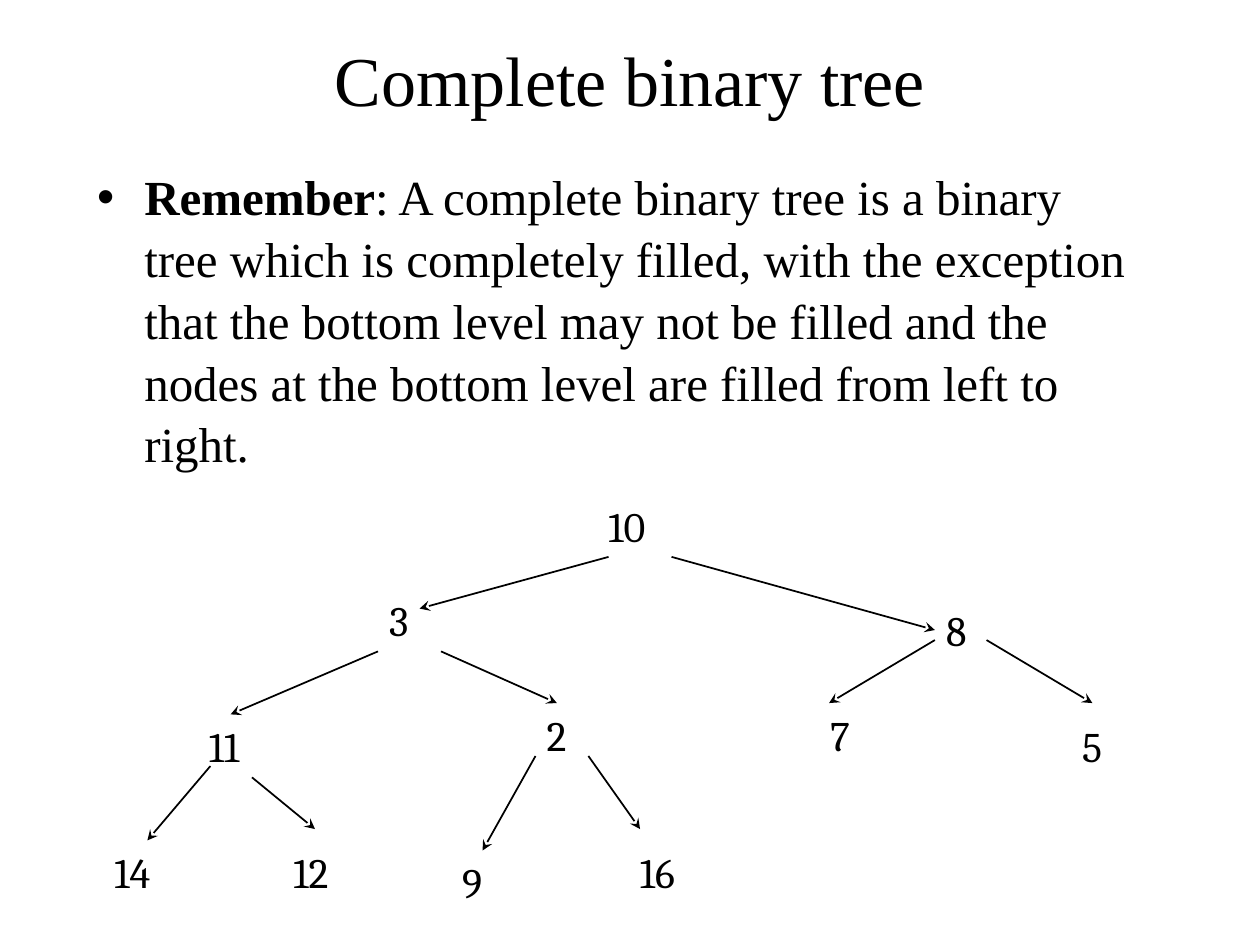
from dataclasses import dataclass

from pptx import Presentation
from pptx.dml.color import RGBColor
from pptx.enum.shapes import MSO_CONNECTOR as Conn
from pptx.enum.text import MSO_ANCHOR as Anchor, MSO_AUTO_SIZE as Fit, PP_ALIGN as Align
from pptx.oxml.ns import qn
from pptx.slide import Slide
from pptx.text.text import Font
from pptx.util import Inches, Pt
from lxml.etree import SubElement

COLORS = {"ink": "000000"}
SERIF = "Times New Roman"


@dataclass
class Node:
    label: str
    left: float
    top: float


@dataclass
class Edge:
    x1: float
    y1: float
    x2: float
    y2: float


NODES = [
    Node("10", 4.73, 3.92),
    Node("3", 2.99, 4.67), Node("8", 7.41, 4.75),
    Node("11", 1.56, 5.67), Node("2", 4.24, 5.58),
    Node("7", 6.49, 5.58), Node("5", 8.49, 5.67),
    Node("14", 0.81, 6.67), Node("12", 2.23, 6.67),
    Node("9", 3.57, 6.75), Node("16", 4.98, 6.67),
]
EDGES = [
    Edge(4.83, 4.42, 3.33, 4.83), Edge(5.33, 4.42, 7.42, 5),
    Edge(3, 5.17, 1.83, 5.67), Edge(3.5, 5.17, 4.42, 5.58),
    Edge(7.42, 5.08, 6.58, 5.58), Edge(7.83, 5.08, 8.67, 5.58),
    Edge(1.67, 6.08, 1.17, 6.67), Edge(2, 6.17, 2.5, 6.58),
    Edge(4.25, 6, 3.83, 6.75), Edge(4.67, 6, 5.08, 6.58),
]


def set_font(font: Font, name: str, size: float) -> None:
    font.name = name
    font.size = Pt(size)
    font.color.rgb = RGBColor.from_string(COLORS["ink"])


def place(shape, left: float, top: float, width: float, height: float) -> None:
    shape.left, shape.top = Inches(left), Inches(top)
    shape.width, shape.height = Inches(width), Inches(height)


def add_title(slide: Slide) -> None:
    title = slide.shapes.title
    place(title, 0.75, 0.25, 8.5, 0.75)
    frame = title.text_frame
    frame.text = "Complete binary tree"
    frame.auto_size = Fit.NONE
    frame.vertical_anchor = Anchor.MIDDLE
    para = frame.paragraphs[0]
    para.alignment = Align.CENTER
    set_font(para.font, SERIF, 40)


def add_body(slide: Slide) -> None:
    body = slide.placeholders[1]
    place(body, 0.67, 1.25, 8.5, 6.25)
    frame = body.text_frame
    frame.auto_size = Fit.NONE
    para = frame.paragraphs[0]
    para.space_before = Pt(0)
    para.line_spacing = 1.05
    set_font(para.font, SERIF, 28)
    term = para.add_run()
    term.text = "Remember"
    term.font.bold = True
    para.add_run().text = (
        ": A complete binary tree is a binary tree which is completely filled, "
        "with the exception that the bottom level may not be filled and the "
        "nodes at the bottom level are filled from left to right."
    )


def add_node(slide: Slide, node: Node) -> None:
    width = 0.2 + 0.19 * len(node.label)
    box = slide.shapes.add_textbox(
        Inches(node.left), Inches(node.top), Inches(width), Inches(0.5))
    frame = box.text_frame
    frame.word_wrap = False
    frame.auto_size = Fit.SHAPE_TO_FIT_TEXT
    frame.text = node.label
    set_font(frame.paragraphs[0].font, "Cambria", 24)


def add_edge(slide: Slide, edge: Edge) -> None:
    line = slide.shapes.add_connector(
        Conn.STRAIGHT, Inches(edge.x1), Inches(edge.y1),
        Inches(edge.x2), Inches(edge.y2))
    line.line.color.rgb = RGBColor.from_string(COLORS["ink"])
    line.line.width = Pt(1)
    SubElement(line.line._get_or_add_ln(), qn("a:tailEnd"), type="stealth")
    SubElement(line._element.spPr, qn("a:effectLst"))


def main() -> None:
    deck = Presentation()
    deck.slide_width, deck.slide_height = Inches(10), Inches(7.5)
    slide = deck.slides.add_slide(deck.slide_layouts[1])
    add_title(slide)
    add_body(slide)
    for node in NODES:
        add_node(slide, node)
    for edge in EDGES:
        add_edge(slide, edge)
    deck.save("out.pptx")


if __name__ == "__main__":
    main()
